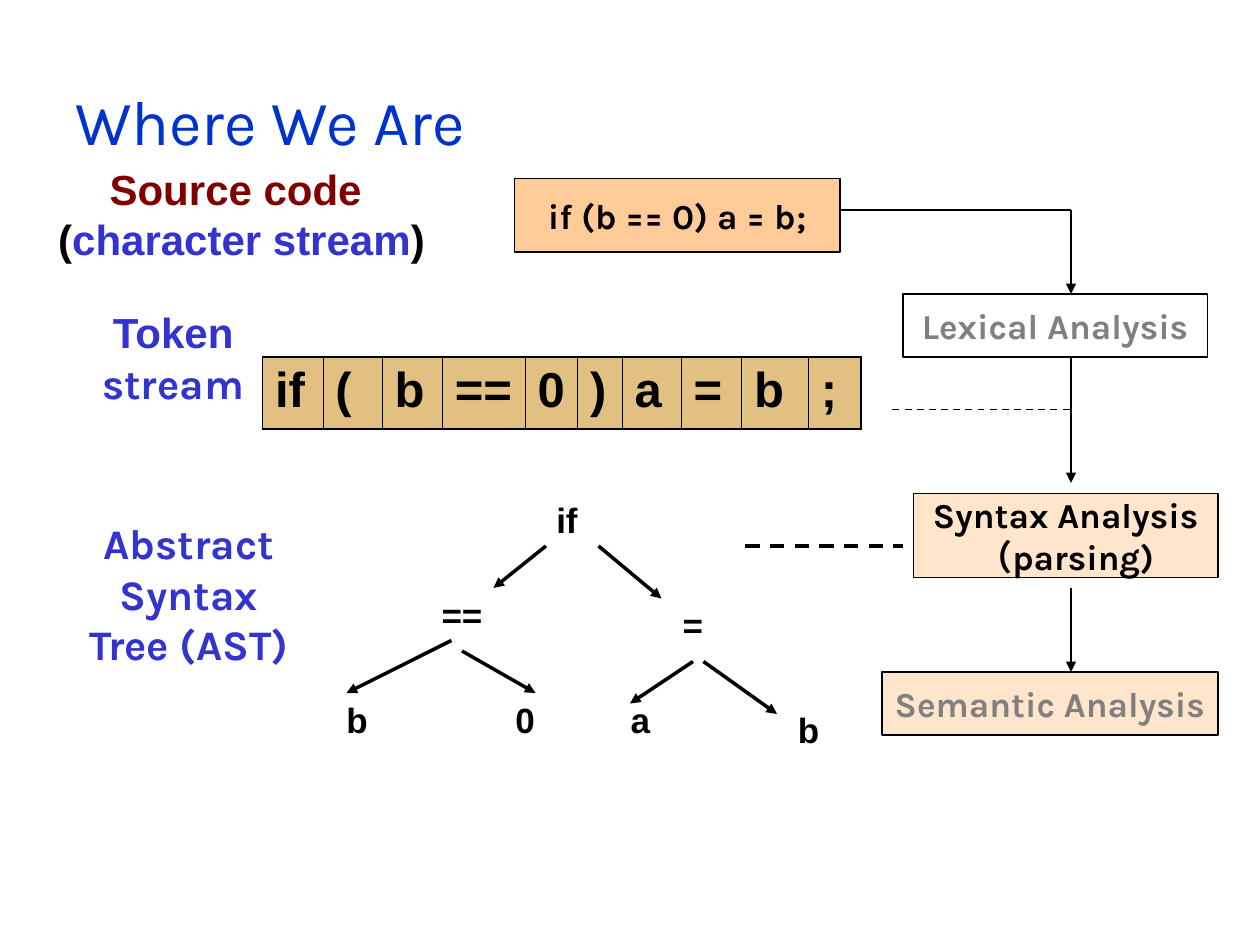
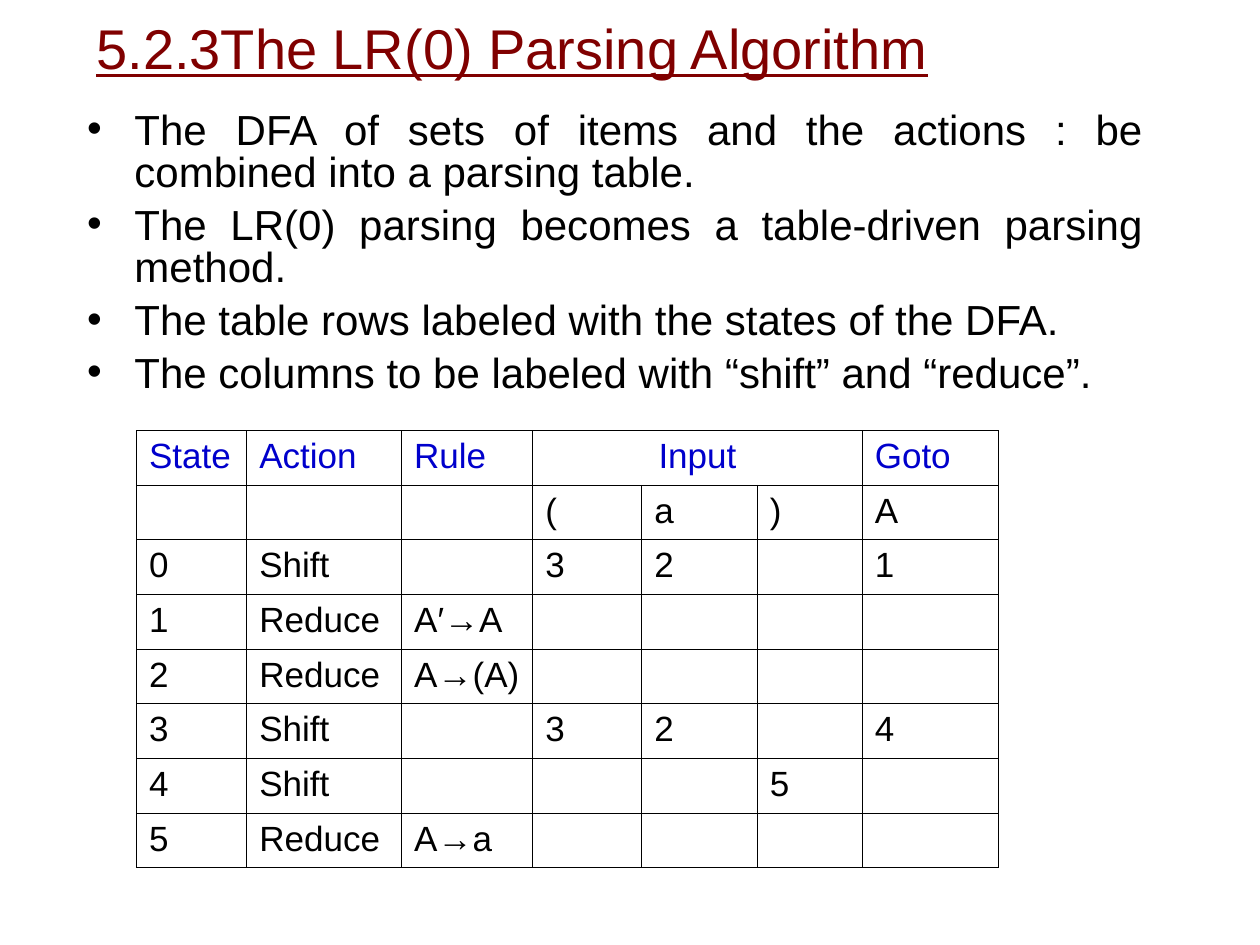
"""Build two compiler slides: the analysis phases and the LR(0) parsing table."""
import lxml.etree
import pptx
import pptx.dml.color
import pptx.enum.dml
import pptx.enum.shapes
import pptx.enum.text
import pptx.oxml.ns
import pptx.util

PX = 9525
BLACK, GRAY, WHITE = "000000", "808080", "FFFFFF"
MAROON, LABEL_BLUE, TITLE_BLUE, HEADER_BLUE = "800000", "3333CD", "0033CD", "0000CC"
PEACH, TAN = "FFCC99", "E2C082"
SANS, DISPLAY = "Arial", "Karla"

color = pptx.dml.color.RGBColor.from_string
qn = pptx.oxml.ns.qn
Pt = pptx.util.Pt
ALIGN = pptx.enum.text.PP_ALIGN
SHAPES = pptx.enum.shapes


def set_text(text_frame, text, size, font, ink, bold=False, align=ALIGN.LEFT):
    """Fill a text frame and format all its runs."""
    text_frame.text = text
    for paragraph in text_frame.paragraphs:
        paragraph.alignment = align
        for run in paragraph.runs:
            run.font.size = Pt(size)
            run.font.name = font
            run.font.bold = bold
            run.font.color.rgb = color(ink)


def add_box(slide, bounds, text, size, font, ink, bold=True, align=ALIGN.CENTER,
            fill=None, opacity=100, wrap=False):
    """Add a text box, or an outlined rectangle when a fill is given."""
    bounds = [length * PX for length in bounds]
    if fill is None:
        shape = slide.shapes.add_textbox(*bounds)
    else:
        shape = slide.shapes.add_shape(SHAPES.MSO_SHAPE.RECTANGLE, *bounds)
        shape.shadow.inherit = False
        shape.fill.solid()
        shape.fill.fore_color.rgb = color(fill)
        shape.line.color.rgb = color(BLACK)
        shape.line.width = Pt(0.75)
        if opacity < 100:
            fill_color = shape.fill._xPr.find(".//" + qn("a:srgbClr"))
            lxml.etree.SubElement(fill_color, qn("a:alpha"), val=str(opacity * 1000))
    shape.text_frame.word_wrap = wrap
    shape.text_frame.vertical_anchor = pptx.enum.text.MSO_ANCHOR.MIDDLE
    set_text(shape.text_frame, text, size, font, ink, bold, align)
    return shape


presentation = pptx.Presentation()
presentation.slide_width = 960 * PX
presentation.slide_height = 720 * PX
phases_slide, table_slide = [
    presentation.slides.add_slide(presentation.slide_layouts[6]) for _ in range(2)]

titles = [
    (phases_slide, (48, 56, 328, 72), "Where We Are", 36, DISPLAY, TITLE_BLUE, False),
    (table_slide, (64, 0, 896, 72), "5.2.3The LR(0) Parsing Algorithm", 32, SANS, MAROON, True),
]
for slide, bounds, text, size, font, ink, underline in titles:
    title = add_box(slide, bounds, text, size, font, ink, False, ALIGN.LEFT, wrap=True)
    title.text_frame.paragraphs[0].runs[0].font.underline = underline

phases = [
    ((392, 136, 248, 56), "if (b == 0) a = b;", BLACK, PEACH, 100),
    ((688, 224, 232, 48), "Lexical Analysis", GRAY, WHITE, 100),
    ((696, 376, 232, 64), "Syntax Analysis\n（parsing)", BLACK, PEACH, 50),
    ((672, 512, 256, 48), "Semantic Analysis", GRAY, PEACH, 50),
]
for bounds, text, ink, fill, opacity in phases:
    add_box(phases_slide, bounds, text, 20, DISPLAY, ink, fill=fill, opacity=opacity)

source_label = add_box(phases_slide, (32, 135, 304, 56), "Source code \n(", 24, SANS, MAROON)
stream_line = source_label.text_frame.paragraphs[1]
stream_line.runs[0].font.color.rgb = color(BLACK)
for text, ink in [("character stream", LABEL_BLUE), (")", BLACK)]:
    run = stream_line.add_run()
    run.text = text
    run.font.size = Pt(24)
    run.font.name = SANS
    run.font.bold = True
    run.font.color.rgb = color(ink)

token_label = add_box(phases_slide, (40, 232, 184, 80), "Token\nstream", 24, SANS, LABEL_BLUE)
token_label.text_frame.paragraphs[1].runs[0].font.name = DISPLAY
add_box(phases_slide, (32, 400, 224, 104), "Abstract Syntax\nTree (AST)", 24, DISPLAY, LABEL_BLUE)

tree_nodes = [
    ("if", 400, 376), ("==", 320, 448), ("=", 496, 456),
    ("b", 240, 528), ("0", 368, 528), ("a", 456, 528), ("b", 584, 536),
]
for text, left, top in tree_nodes:
    add_box(phases_slide, (left, top, 64, 40), text, 20, SANS, BLACK)

connectors = [
    ((640, 160, 816, 160), 0.75, False, False),
    ((816, 160, 816, 224), 0.75, False, True),
    ((816, 272, 816, 368), 0.75, False, True),
    ((816, 448, 816, 512), 0.75, False, True),
    ((680, 312, 816, 312), 1, True, False),
    ((568, 416, 688, 416), 2, True, False),
    ((416, 416, 376, 448), 2, False, True),
    ((456, 416, 504, 456), 2, False, True),
    ((344, 488, 264, 528), 2, False, True),
    ((352, 496, 408, 528), 2, False, True),
    ((528, 504, 480, 536), 2, False, True),
    ((536, 504, 592, 544), 2, False, True),
]
for ends, width, dashed, arrow in connectors:
    connector = phases_slide.shapes.add_connector(
        SHAPES.MSO_CONNECTOR.STRAIGHT, *[length * PX for length in ends])
    connector.line.color.rgb = color(BLACK)
    connector.line.width = Pt(width)
    if dashed:
        connector.line.dash_style = pptx.enum.dml.MSO_LINE.DASH
    if arrow:
        lxml.etree.SubElement(connector.line._get_or_add_ln(), qn("a:tailEnd"), type="triangle")
    lxml.etree.SubElement(connector._element.spPr, qn("a:effectLst"))

bullets = "\n".join([
    "The DFA of sets of items and the actions : be combined into a parsing table.",
    "The LR(0) parsing becomes a table-driven parsing method.",
    "The table rows labeled with the states of the DFA.",
    "The columns to be labeled with “shift” and “reduce”.",
])
body = add_box(table_slide, (48, 80, 832, 232), bullets, 24, SANS, BLACK, False,
               ALIGN.JUSTIFY, wrap=True)
body.text_frame.vertical_anchor = pptx.enum.text.MSO_ANCHOR.TOP
for index, paragraph in enumerate(body.text_frame.paragraphs):
    paragraph.line_spacing = 0.84
    if index:
        paragraph.space_before = Pt(6)
    if index > 1:
        paragraph.alignment = ALIGN.LEFT
    properties = paragraph._p.get_or_add_pPr()
    properties.set("marL", str(45 * PX))
    properties.set("indent", str(-36 * PX))
    lxml.etree.SubElement(properties, qn("a:buFont"), typeface=SANS)
    lxml.etree.SubElement(properties, qn("a:buChar"), char="•")

tokens = [["if", "(", "b", "==", "0", ")", "a", "=", "b", ";"]]
parsing_rows = [
    ["State", "Action", "Rule", "Input", "", "", "Goto"],
    ["", "", "", "(", "a", ")", "A"],
    ["0", "Shift", "", "3", "2", "", "1"],
    ["1", "Reduce", "A′→A", "", "", "", ""],
    ["2", "Reduce", "A→(A)", "", "", "", ""],
    ["3", "Shift", "", "3", "2", "", "4"],
    ["4", "Shift", "", "", "", "5", ""],
    ["5", "Reduce", "A→a", "", "", "", ""],
]
tables = [
    (phases_slide, tokens, (200, 272), [46, 45, 46, 63, 40, 34, 45, 46, 51, 40], 55,
     28, True, BLACK, TAN, 1.08),
    (table_slide, parsing_rows, (104, 328), [84, 118, 100, 83, 88, 80, 104], 333,
     20, False, HEADER_BLUE, None, 0.45),
]
for slide, rows, (left, top), widths, height, size, bold, header_ink, fill, outer in tables:
    last_row, last_column = len(rows) - 1, len(widths) - 1
    table = slide.shapes.add_table(len(rows), len(widths), left * PX, top * PX,
                                   sum(widths) * PX, height * PX).table
    table.first_row = False
    table.horz_banding = False
    for column, width in zip(table.columns, widths):
        column.width = width * PX
    for row_index, values in enumerate(rows):
        table.rows[row_index].height = height * PX // len(rows)
        for column_index, text in enumerate(values):
            cell = table.cell(row_index, column_index)
            ink = BLACK if row_index else header_ink
            align = ALIGN.CENTER if text == "Input" else ALIGN.LEFT
            set_text(cell.text_frame, text, size, SANS, ink, bold, align)
            edges = [("a:lnL", column_index == 0), ("a:lnR", column_index == last_column),
                     ("a:lnT", row_index == 0), ("a:lnB", row_index == last_row)]
            for tag, on_edge in edges:
                border = lxml.etree.SubElement(cell._tc.get_or_add_tcPr(), qn(tag),
                                               w=str(int(Pt(outer if on_edge else 0.45))))
                border_fill = lxml.etree.SubElement(border, qn("a:solidFill"))
                lxml.etree.SubElement(border_fill, qn("a:srgbClr"), val=BLACK)
            if fill:
                cell.fill.solid()
                cell.fill.fore_color.rgb = color(fill)
            else:
                cell.fill.background()
    if rows is parsing_rows:
        table.cell(0, 3).merge(table.cell(0, 5))

presentation.save("out.pptx")
